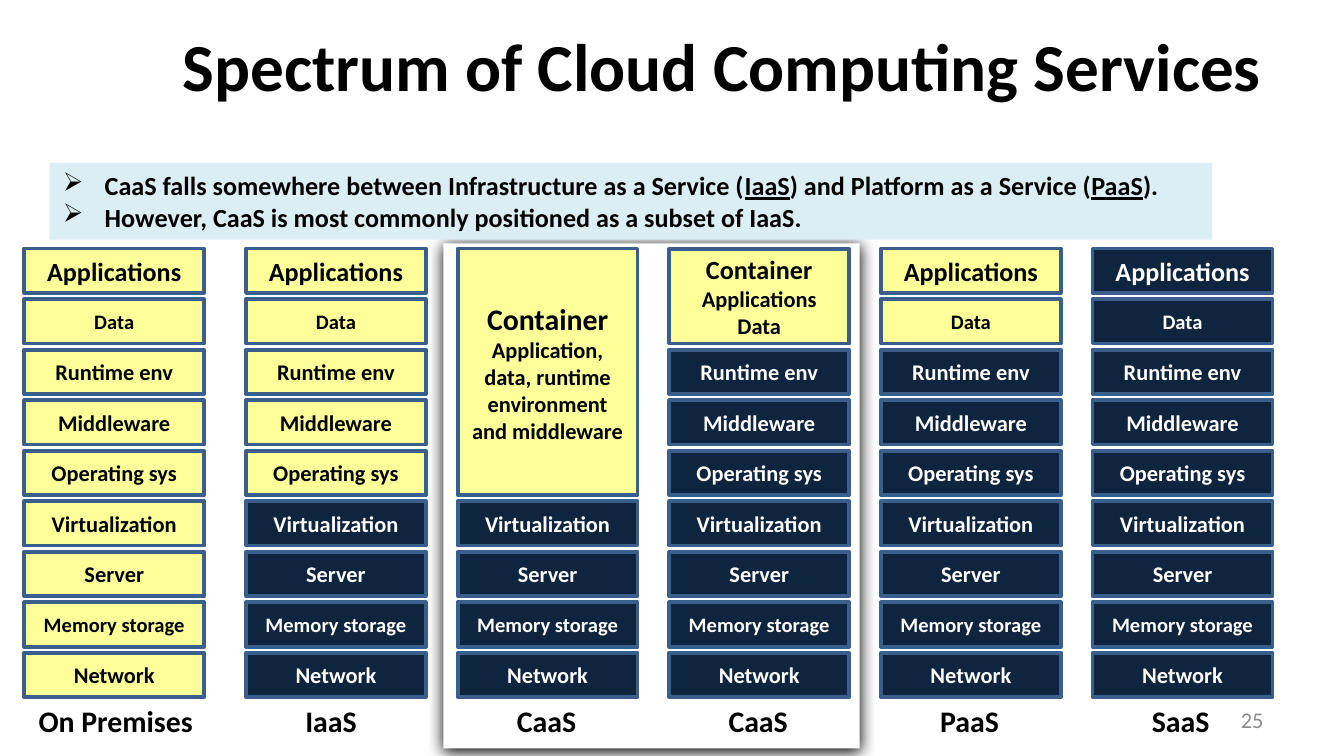
from lxml import etree
from pptx import Presentation, util as u
from pptx.dml.color import RGBColor
from pptx.enum import shapes, text
from pptx.oxml import parse_xml
from pptx.oxml.ns import qn

hue = RGBColor.from_string
Cm, Pt = u.Cm, u.Pt
mid, left, right = text.PP_ALIGN.CENTER, text.PP_ALIGN.LEFT, text.PP_ALIGN.RIGHT


def write(frame, words, size=12, ink="000000", bold=True, align=mid, bullet=None):
    para = frame.paragraphs[0]
    if para.runs:
        para = frame.add_paragraph()
    para.alignment = align
    for i, part in enumerate(words.split("_")):
        run = para.add_run()
        run.text = part
        font = run.font
        font.name, font.size, font.bold = "Calibri", Pt(size), bold
        font.color.rgb = hue(ink)
        if i % 2:
            font.underline = True
    if bullet:
        prop = para._p.get_or_add_pPr()
        prop.set("marL", str(Cm(0.79)))
        prop.set("indent", str(-Cm(0.79)))
        etree.SubElement(prop, qn("a:buChar")).set("char", bullet)


def block(x, y, w, h, fill=None, line=None, anchor=text.MSO_ANCHOR.MIDDLE):
    area = [Cm(n) for n in (x, y, w, h)]
    if fill:
        box = slide.shapes.add_shape(shapes.MSO_SHAPE.RECTANGLE, *area)
        box.shadow.inherit = False
        box.fill.solid()
        box.fill.fore_color.rgb = hue(fill)
        if line:
            box.line.color.rgb = hue(line)
            box.line.width = Pt(2)
        else:
            box.line.fill.background()
    else:
        box = slide.shapes.add_textbox(*area)
    box.text_frame.word_wrap = True
    box.text_frame.vertical_anchor = anchor
    return box


deck = Presentation()
deck.slide_width, deck.slide_height = Cm(25.4), Cm(14.29)
slide = deck.slides.add_slide(deck.slide_layouts[5])

title = slide.shapes.title
title.left, title.top, title.width, title.height = Cm(1.2), Cm(-0.03), Cm(22.9), Cm(2.5)
title.text_frame.vertical_anchor = text.MSO_ANCHOR.MIDDLE
write(title.text_frame, "Spectrum of Cloud Computing Services", size=36, align=right)

panel = block(8.38, 4.6, 7.87, 9.55, fill="FFFFFF")
panel._element.spPr.find(qn("a:effectLst")).append(parse_xml(
    '<a:outerShdw xmlns:a="http://schemas.openxmlformats.org/drawingml/2006/main" '
    f'blurRad="{Pt(8.5)}" dist="{Pt(1)}" dir="5400000" rotWithShape="0">'
    '<a:srgbClr val="000000"/></a:outerShdw>'))

layers = [("Applications", 14), ("Data", 11), ("Runtime env", 12), ("Middleware", 12),
          ("Operating sys", 12), ("Virtualization", 12), ("Server", 12),
          ("Memory storage", 11), ("Network", 12)]
wide = [("Container", 16), ("Application, data, runtime environment and middleware", 12)]
brief = [("Container", 14), ("Applications", 12), ("Data", 12)]
models = [("On Premises", 0.46, 9, None), ("IaaS", 4.65, 5, None), ("CaaS", 8.65, 5, wide),
          ("CaaS", 12.65, 2, brief), ("PaaS", 16.65, 2, None), ("SaaS", 20.65, 0, None)]
top, high, broad = 4.7, 0.84, 3.4
step = 7.64 / 8
pale, dark, edge = "FFFF99", "0F243E", "3A5F8C"

for name, x, own, merged in models:
    if merged:
        box = block(x, top, broad, (own - 1) * step + high, pale, edge)
        for words, size in merged:
            write(box.text_frame, words, size=size)
    for row, (words, size) in enumerate(layers):
        mine = row < own
        if merged and mine:
            continue
        box = block(x, top + row * step, broad, high, pale if mine else dark, edge)
        write(box.text_frame, words, size=size, ink="000000" if mine else "FFFFFF")
    shift, span = (0.02, 3.81) if own == len(layers) else (0.87, 1.65)
    label = block(x + shift, 13.15, span, 0.94, anchor=text.MSO_ANCHOR.TOP)
    write(label.text_frame, name, size=16, align=left)

note = block(0.94, 3.08, 21.97, 1.45, fill="DBEEF4", anchor=text.MSO_ANCHOR.TOP)
for words in ("CaaS falls somewhere between Infrastructure as a Service (_IaaS_) "
              "and Platform as a Service (_PaaS_).",
              "However, CaaS is most commonly positioned as a subset of IaaS."):
    write(note.text_frame, words, size=14, align=left, bullet="➢")

page = block(18.21, 13.23, 5.92, 0.76)
write(page.text_frame, "25", ink="8C8C8C", bold=False, align=right)

deck.save("out.pptx")
